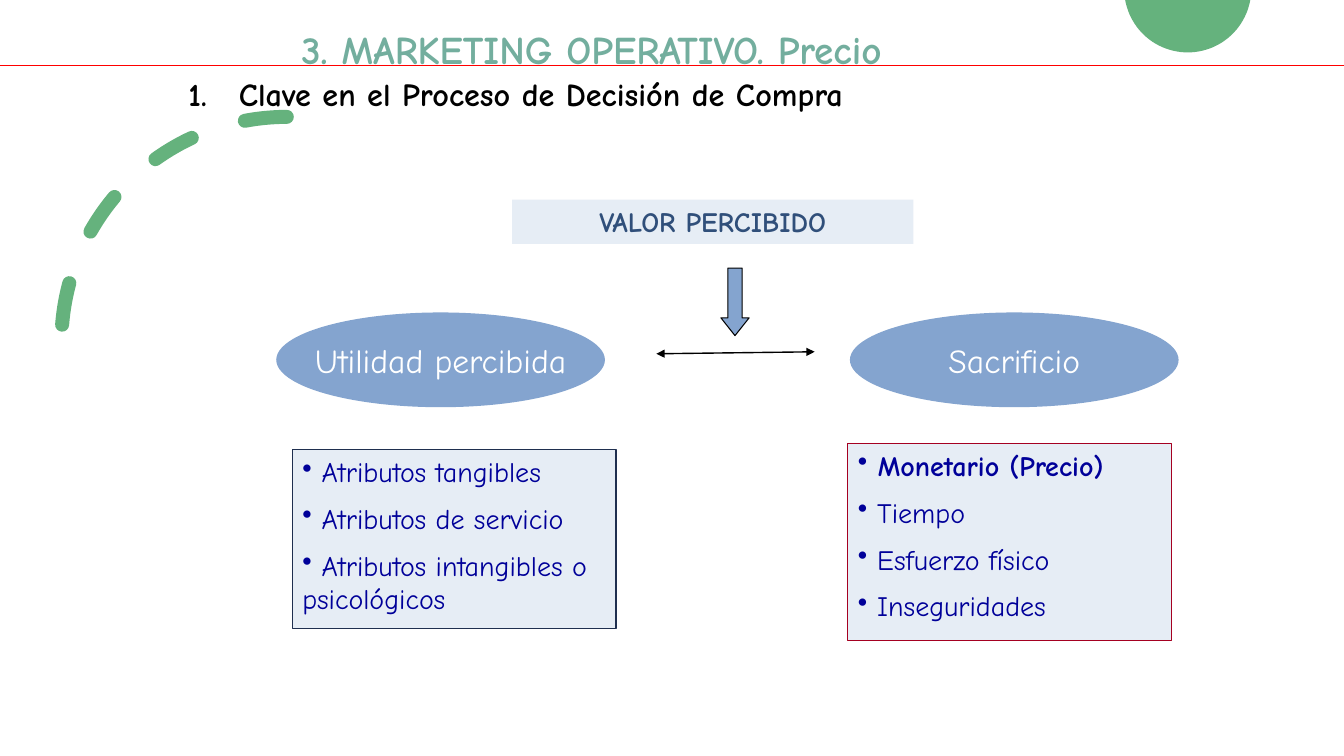
from math import acos, cos, pi, sin
from pptx import Presentation
from pptx.dml.color import RGBColor
from pptx.enum.dml import MSO_LINE
from pptx.enum.shapes import MSO_CONNECTOR, MSO_SHAPE
from pptx.enum.text import MSO_ANCHOR, PP_ALIGN
from pptx.oxml.ns import qn
from pptx.util import Inches, Pt
from lxml import etree

GREEN, BLUE, PALE, NAVY, BLACK = "65B27D", "84A4CF", "E6EDF5", "000099", "000000"


def rgb(color):
    return RGBColor.from_string(color)


def add_xml(parent, tag, **attrs):
    return etree.SubElement(parent, qn(tag), attrs)


def paint(sp, fill=None, line=None, width=0.75):
    sp.shadow.inherit = False
    if fill:
        sp.fill.solid()
        sp.fill.fore_color.rgb = rgb(fill)
    else:
        sp.fill.background()
    if line:
        sp.line.color.rgb = rgb(line)
        sp.line.width = Pt(width)
    else:
        sp.line.fill.background()


def shape(s, kind, box, **look):
    sp = s.shapes.add_shape(kind, *map(Inches, box))
    paint(sp, **look)
    return sp


def write(p, text, size, color, bold=False):
    r = p.add_run()
    r.text = text
    r.font.color.rgb = rgb(color)
    for name, value in dict(name="Comic Neue", size=Pt(size), bold=bold).items():
        setattr(r.font, name, value)


def frame(sp, anchor=MSO_ANCHOR.TOP, wrap=True):
    tf = sp.text_frame
    for name, value in dict(word_wrap=wrap, vertical_anchor=anchor).items():
        setattr(tf, name, value)
    return tf


def line(s, start, end, color, width, arrows=False):
    c = s.shapes.add_connector(MSO_CONNECTOR.STRAIGHT, *map(Inches, start + end))
    c.line.color.rgb = rgb(color)
    c.line.width = Pt(width)
    if arrows:
        for tag in ("a:headEnd", "a:tailEnd"):
            add_xml(c.line._get_or_add_ln(), tag, type="triangle")
    add_xml(c._element.spPr, "a:effectLst")


def decoration(s):
    """Cut-off disc at the top edge and dashed arc on the left."""
    cx, cy, radius, steps = 11.78, -0.11, 0.63, 48
    edge = acos(-cy / radius)
    angles = [pi / 2 - edge + 2 * edge * i / steps for i in range(steps + 1)]
    points = [(Inches(cx + radius * cos(a)), Inches(cy + radius * sin(a))) for a in angles]
    fb = s.shapes.build_freeform(*points[0])
    fb.add_line_segments(points[1:], close=True)
    paint(fb.convert_to_shape(), GREEN)

    arc = shape(s, MSO_SHAPE.ARC, (0.61, 1.16, 4.47, 4.47), line=GREEN, width=10)
    arc._element.spPr.find(qn("a:xfrm")).set("flipH", "1")
    arc.line.dash_style = MSO_LINE.DASH
    arc.line._get_or_add_ln().set("cap", "rnd")


def heading(s, box):
    p = frame(s.shapes.add_textbox(*map(Inches, box))).paragraphs[0]
    write(p, "3. MARKETING OPERATIVO. Precio", 28, "73AE9E", True)


def numbered_point(s, box):
    p = frame(s.shapes.add_textbox(*map(Inches, box))).paragraphs[0]
    pPr = p._p.get_or_add_pPr()
    pPr.set("marL", str(Inches(1.5)))
    pPr.set("indent", str(Inches(-0.5)))
    add_xml(pPr, "a:buFont", typeface="+mj-lt")
    add_xml(pPr, "a:buAutoNum", type="arabicPeriod")
    write(p, "Clave en el Proceso de Decisión de Compra", 23, BLACK, True)


def label(s, kind, box, fill, text, size, color, bold=False, **layout):
    p = frame(shape(s, kind, box, fill=fill), **layout).paragraphs[0]
    p.alignment = PP_ALIGN.CENTER
    write(p, text, size, color, bold)


def bullet_box(s, box, items, border, bold_item=None):
    tf = frame(shape(s, MSO_SHAPE.RECTANGLE, box, fill=PALE, line=border))
    for i, item in enumerate(items):
        p = tf.add_paragraph() if i else tf.paragraphs[0]
        add_xml(p._p.get_or_add_pPr(), "a:buChar", char="•")
        p.alignment = PP_ALIGN.LEFT
        if i:
            p.space_before = Pt(9.4)
        write(p, " " + item, 20, NAVY, item == bold_item)


def value_diagram(s, x, y):
    """Perceived value split into utility and sacrifice."""
    label(s, MSO_SHAPE.RECTANGLE, (x + 2.34, y, 3.98, 0.44), PALE,
          "VALOR PERCIBIDO", 20, "304F7A", True)
    for dx, text in ((0, "Utilidad percibida"), (5.69, "Sacrificio")):
        label(s, MSO_SHAPE.OVAL, (x + dx, y + 1.12, 3.26, 0.94), BLUE, text, 24,
              "FFFFFF", anchor=MSO_ANCHOR.MIDDLE, wrap=False)
    line(s, (x + 3.77, y + 1.53), (x + 5.34, y + 1.51), BLACK, 1, arrows=True)
    arrow = shape(s, MSO_SHAPE.DOWN_ARROW, (x + 4.41, y + 0.68, 0.28, 0.67),
                  fill=BLUE, line=BLACK)
    arrow.adjustments[1] = 0.63
    bullet_box(s, (x + 0.16, y + 2.48, 3.21, 1.78),
               ["Atributos tangibles", "Atributos de servicio",
                "Atributos intangibles o psicológicos"], "1F2F4F")
    bullet_box(s, (x + 5.67, y + 2.42, 3.21, 1.95),
               ["Monetario (Precio)", "Tiempo", "Esfuerzo físico", "Inseguridades"],
               "A50021", "Monetario (Precio)")


def main():
    prs = Presentation()
    prs.slide_width, prs.slide_height = Inches(13.33), Inches(7.5)
    s = prs.slides.add_slide(prs.slide_layouts[6])
    decoration(s)
    line(s, (0, 0.65), (13.33, 0.65), "FF0000", 1.25)
    numbered_point(s, (0.77, 0.69, 12.46, 0.49))
    value_diagram(s, 2.74, 1.98)
    heading(s, (2.89, 0.2, 9.1, 0.57))
    prs.save("out.pptx")


if __name__ == "__main__":
    main()
